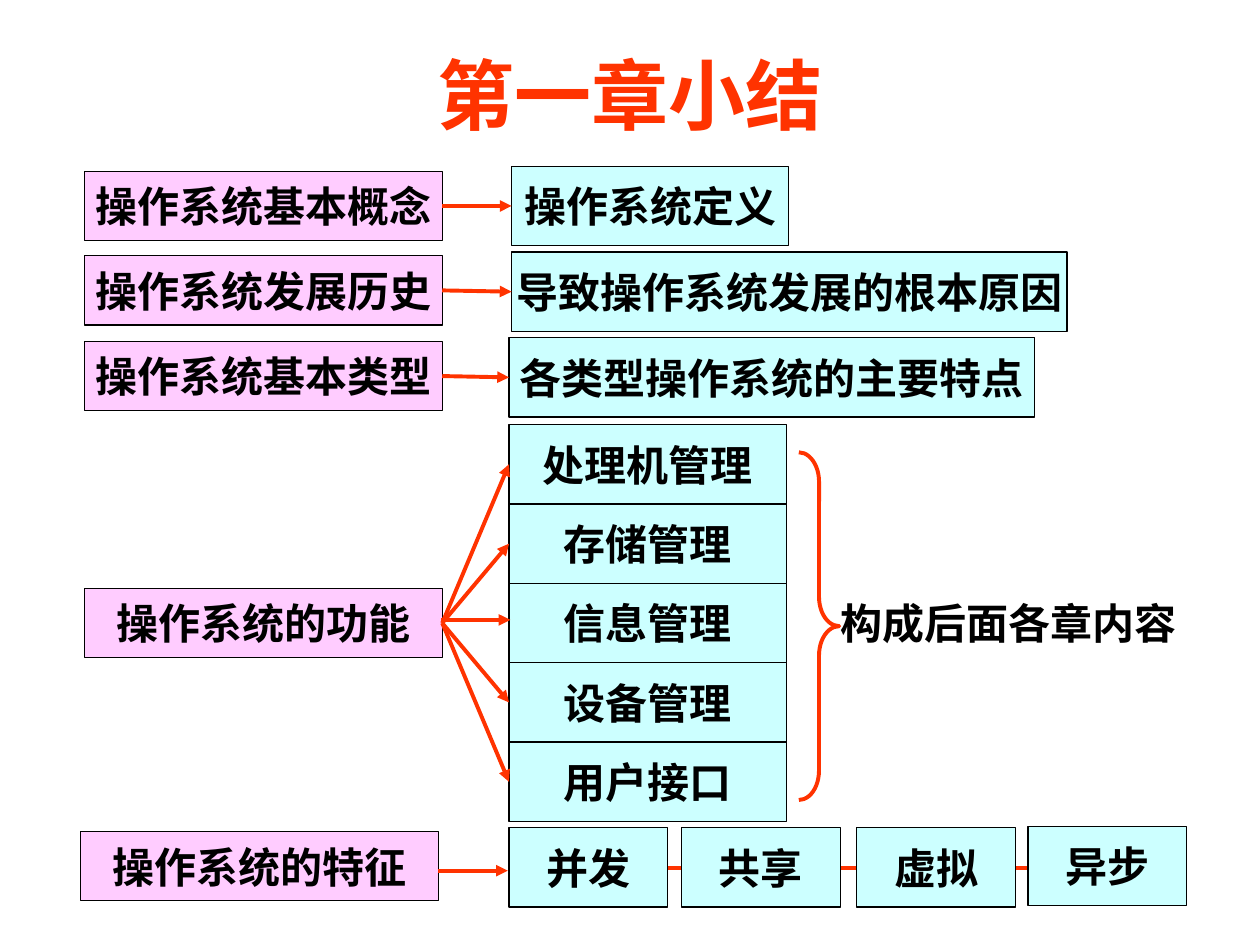
from lxml import etree
from pptx import Presentation
from pptx import util as u
from pptx.dml.color import RGBColor
from pptx.enum import shapes, text
from pptx.oxml.ns import qn

PX = 9144  # 100 px to the inch
RED = RGBColor(0xFF, 0x33, 0x00)
PINK = RGBColor(0xFF, 0xCC, 0xFF)
CYAN = RGBColor(0xCC, 0xFF, 0xFF)
BLACK = RGBColor(0, 0, 0)

deck = Presentation()
deck.slide_width, deck.slide_height = 1000 * PX, 750 * PX
slide = deck.slides.add_slide(deck.slide_layouts[5])


def write(words, at, fill=None, shape=None, size=24, color=BLACK,
          align=text.PP_ALIGN.CENTER, anchor=text.MSO_ANCHOR.MIDDLE, wrap=False):
    """Put words in the given shape, or in a new box with a fill and a thin outline."""
    at = [n * PX for n in at]
    if shape is None:
        shape = slide.shapes.add_shape(shapes.MSO_SHAPE.RECTANGLE, *at)
        shape.shadow.inherit = False
        shape.fill.solid()
        shape.fill.fore_color.rgb = fill
        shape.line.color.rgb = BLACK
        shape.line.width = u.Pt(0.75)
    shape.left, shape.top, shape.width, shape.height = at
    frame = shape.text_frame
    frame.word_wrap = wrap
    frame.vertical_anchor = anchor
    para = frame.paragraphs[0]
    para.alignment = align
    run = para.add_run()
    run.text = words
    font = run.font
    font.name, font.size, font.bold = "Times New Roman", u.Pt(size), True
    font.color.rgb = color
    return shape


def link(ends=(0, 0, 0, 0), start=None, stop=None, head=True):
    """Draw a red line between points, or from one box's right to another's left."""
    line = slide.shapes.add_connector(
        shapes.MSO_CONNECTOR.STRAIGHT, *[n * PX for n in ends])
    if start is not None:
        line.begin_connect(start, 3)
        line.end_connect(stop, 1)
    line.line.color.rgb = RED
    line.line.width = u.Pt(2.25)
    props = line._element.spPr
    if head:
        etree.SubElement(props.find(qn("a:ln")), qn("a:tailEnd"), type="triangle")
    etree.SubElement(props, qn("a:effectLst"))


write("第一章小结", (75, 28, 850, 92), shape=slide.shapes.title,
      size=44, color=RED, wrap=True)

# Topics with one key point each
rows = [
    ("操作系统基本概念", 136, "操作系统定义", (406, 132, 220, 63)),
    ("操作系统发展历史", 203, "导致操作系统发展的根本原因", (406, 200, 441, 63)),
    ("操作系统基本类型", 271, "各类型操作系统的主要特点", (404, 268, 417, 63)),
]
for topic, top, point, at in rows:
    left = write(topic, (67, top, 284, 55), PINK)
    right = write(point, at, CYAN)
    link(start=left, stop=right)

# Features, strung on one line
write("操作系统的特征", (64, 660, 284, 55), PINK)
link((483, 689, 869, 689), head=False)
traits = [("并发", 404, 657), ("共享", 541, 657), ("虚拟", 680, 657), ("异步", 816, 656)]
for name, x, y in traits:
    write(name, (x, y, 126, 63), CYAN)
link((348, 691, 403, 691))

# Functions, fanned out to a stack
root = write("操作系统的功能", (67, 467, 284, 55), PINK)
tasks = ["处理机管理", "存储管理", "信息管理", "设备管理", "用户接口"]
stack = [write(name, (404, 337 + 63 * i, 220, 63), CYAN)
         for i, name in enumerate(tasks)]
for i, box in enumerate(stack):
    if i == 2:
        link((350, 492, 405, 492))
    else:
        link(start=root, stop=box)

brace = slide.shapes.add_shape(
    shapes.MSO_SHAPE.RIGHT_BRACE, 634 * PX, 359 * PX, 32 * PX, 276 * PX)
brace.shadow.inherit = False
brace.adjustments[0] = 0.73
brace.fill.background()
brace.line.color.rgb = RED
brace.line.width = u.Pt(2.25)

note = slide.shapes.add_textbox(0, 0, PX, PX)
write("构成后面各章内容", (657, 469, 299, 50), shape=note, wrap=True,
      align=text.PP_ALIGN.LEFT, anchor=text.MSO_ANCHOR.TOP)

deck.save("out.pptx")
